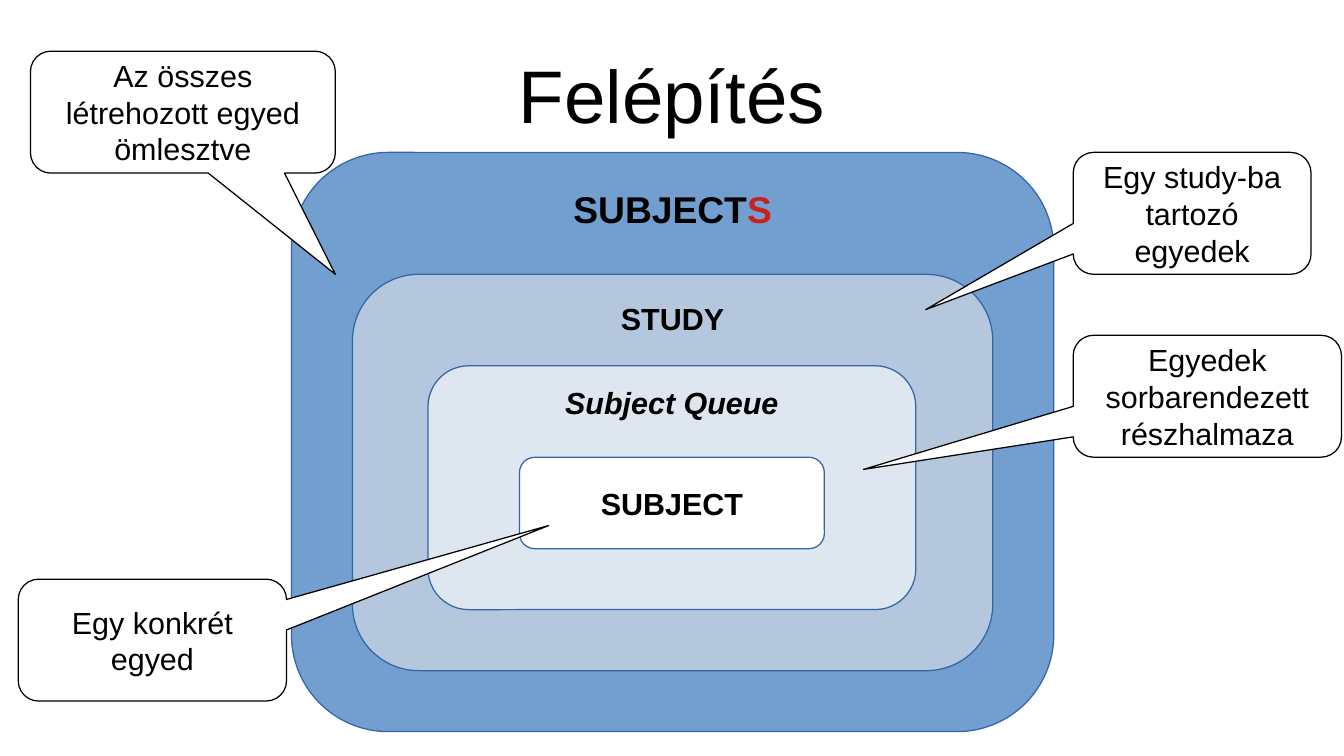
"""Build the "Felépítés" slide: nested boxes explained by callouts."""
from pptx import Presentation
from pptx.dml.color import RGBColor
from pptx.enum.shapes import MSO_SHAPE as SHAPE
from pptx.enum.text import MSO_ANCHOR as ANCHOR, PP_ALIGN as ALIGN
from pptx.util import Inches, Pt

COLORS = {
    "black": "000000", "white": "FFFFFF", "red": "C9211E", "edge": "3465A4",
    "subjects": "729FCF", "study": "B4C7DC", "queue": "DEE6EF",
}
CORNER = 0.167


def add_run(p, text, color="black", **fmt):
    r = p.add_run()
    r.text = text
    r.font.color.rgb = RGBColor.from_string(COLORS[color])
    for name, value in ({"name": "Arial", "size": Pt(18)} | fmt).items():
        setattr(r.font, name, value)


def add_box(kind, box, fill, line, anchor):
    sp = s.shapes.add_shape(kind, *map(Inches, box))
    sp.shadow.inherit = False
    sp.fill.solid()
    sp.fill.fore_color.rgb = RGBColor.from_string(COLORS[fill])
    sp.line.color.rgb = RGBColor.from_string(COLORS[line])
    sp.line.width = Pt(0)
    tf = sp.text_frame
    tf.word_wrap = True
    tf.vertical_anchor = anchor
    tf.paragraphs[0].alignment = ALIGN.CENTER
    return sp


prs = Presentation()
prs.slide_width, prs.slide_height = Inches(11.02), Inches(6.2)
s = prs.slides.add_slide(prs.slide_layouts[5])

title = s.shapes.title
title.left, title.top, title.width, title.height = map(Inches, (0.55, 0.25, 9.92, 1.03))
tf = title.text_frame
margins = ("margin_left", "margin_top", "margin_right", "margin_bottom")
for name, value in ({"vertical_anchor": ANCHOR.MIDDLE} | dict.fromkeys(margins, 0)).items():
    setattr(tf, name, value)
tf.paragraphs[0].alignment = ALIGN.CENTER
add_run(tf.paragraphs[0], "Felépítés", size=Pt(44))

layers = [
    ((2.39, 1.25, 6.25, 4.75), "subjects", ANCHOR.TOP,
     [("SUBJECT", "black"), ("S", "red")], {"size": Pt(22)}),
    ((2.89, 2.25, 5.25, 3.25), "study", ANCHOR.TOP, [("STUDY", "black")], {}),
    ((3.51, 3, 4, 2), "queue", ANCHOR.TOP, [("Subject Queue", "black")], {"italic": True}),
    ((4.26, 3.75, 2.5, 0.75), "white", ANCHOR.MIDDLE, [("SUBJECT", "black")], {}),
]
for box, fill, anchor, runs, fmt in layers:
    sp = add_box(SHAPE.ROUNDED_RECTANGLE, box, fill, "edge", anchor)
    sp.adjustments[0] = CORNER
    for text, color in runs:
        add_run(sp.text_frame.paragraphs[0], text, color, bold=True, **fmt)

callouts = [
    ((0.25, 0.42, 2.5, 1), (2.75, 2.25), "Az összes létrehozott egyed ömlesztve"),
    ((8.8, 1.25, 1.95, 1), (7.59, 2.54), "Egy study-ba tartozó egyedek"),
    ((8.8, 2.75, 2.2, 1), (7.08, 3.85), "Egyedek sorbarendezett részhalmaza"),
    ((0.15, 4.75, 2.2, 1), (4.5, 4.31), "Egy konkrét egyed"),
]
for box, (tip_x, tip_y), text in callouts:
    sp = add_box(SHAPE.ROUNDED_RECTANGULAR_CALLOUT, box, "white", "black", ANCHOR.MIDDLE)
    left, top, width, height = box
    sp.adjustments[0] = (tip_x - left) / width - 0.5
    sp.adjustments[1] = (tip_y - top) / height - 0.5
    sp.adjustments[2] = CORNER
    add_run(sp.text_frame.paragraphs[0], text)

prs.save("out.pptx")
